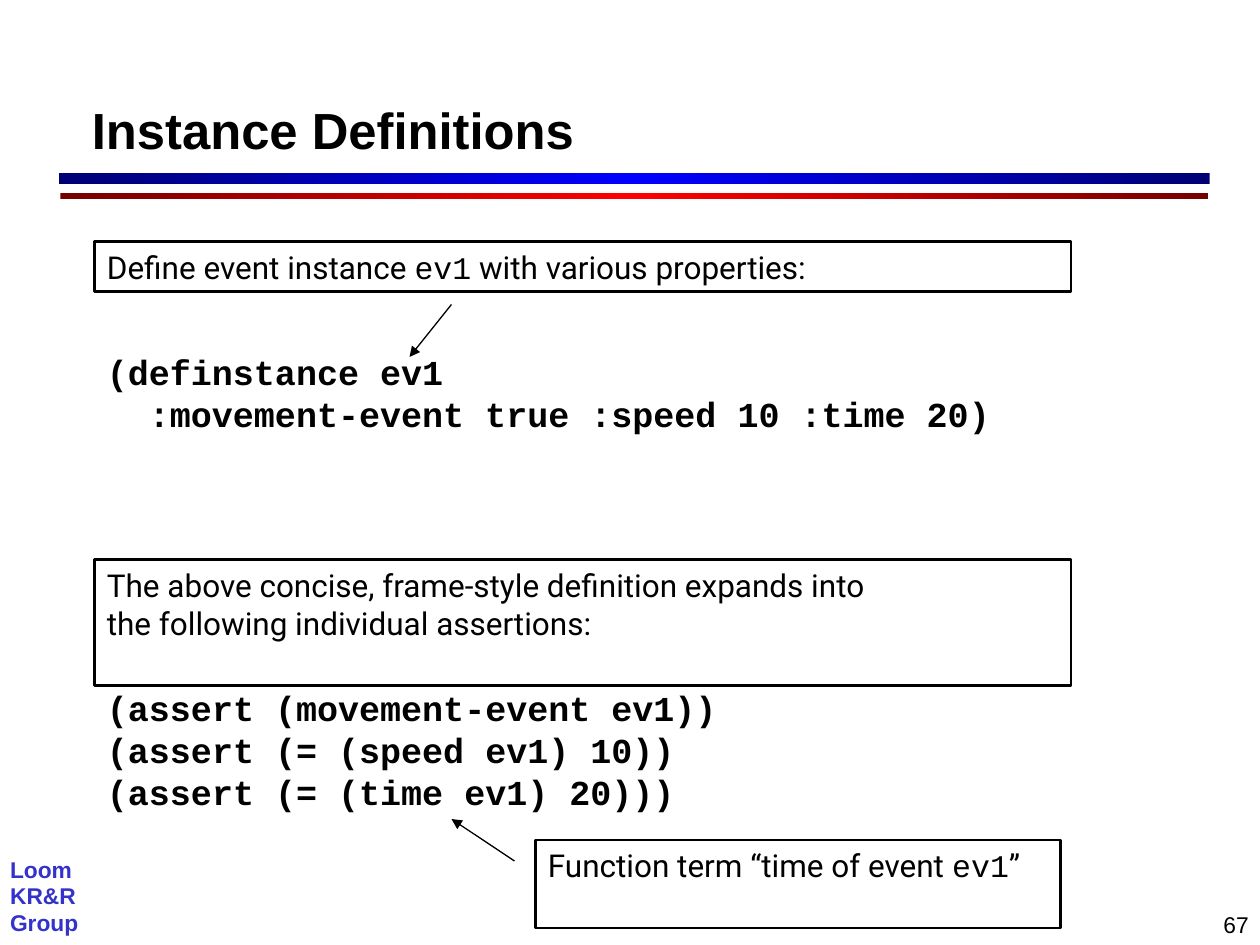
from copy import deepcopy
from dataclasses import dataclass

from pptx import Presentation
from pptx.dml.color import RGBColor
from pptx.enum.shapes import MSO_CONNECTOR, MSO_SHAPE
from pptx.enum.text import MSO_ANCHOR, PP_ALIGN
from pptx.oxml.ns import qn
from pptx.oxml.xmlchemy import OxmlElement
from pptx.util import Inches, Pt

RECT, ROUND = MSO_SHAPE.RECTANGLE, MSO_SHAPE.ROUNDED_RECTANGLE
LINE = MSO_CONNECTOR.STRAIGHT
TOP, BASE = MSO_ANCHOR.TOP, MSO_ANCHOR.BOTTOM
LEFT, RIGHT = PP_ALIGN.LEFT, PP_ALIGN.RIGHT
WIDE, HIGH = 10, 7.5
COLS = 120


@dataclass(frozen=True)
class Theme:
    ink: str = "000000"
    mark: str = "3333CC"
    reds: tuple[str, ...] = ("750000", "FF0000", "750000")
    blues: tuple[str, ...] = ("000075", "0000FF", "000075")
    sans: str = "Arial"
    prose: str = "Roboto"
    mono: str = "Courier New"
    head: float = 29
    code: float = 20
    body: float = 18
    foot: float = 13
    frame: float = 1.5
    thin: float = 0.75


THEME = Theme()


@dataclass(frozen=True)
class Area:
    col: float
    row: float
    cols: float
    rows: float

    def place(self) -> list[int]:
        return [cell(n) for n in (self.col, self.row, self.cols, self.rows)]


@dataclass(frozen=True)
class Style:
    font: str
    size: float
    color: str = THEME.ink
    bold: bool = False


@dataclass(frozen=True)
class Block:
    area: Area
    style: Style
    lines: tuple[tuple[str, ...], ...]
    framed: bool = False
    pad: tuple[float, float] = (0.1, 0.05)
    align: PP_ALIGN = LEFT
    anchor: MSO_ANCHOR = TOP
    lead: float = 1.0


@dataclass(frozen=True)
class Bar:
    area: Area
    tones: tuple[str, ...]
    bend: float


@dataclass(frozen=True)
class Arrow:
    start: tuple[float, float]
    end: tuple[float, float]


HEAD = Style(THEME.sans, THEME.head, bold=True)
CODE = Style(THEME.mono, THEME.code, bold=True)
BODY = Style(THEME.prose, THEME.body)
TERM = Style(THEME.mono, THEME.body)
FOOT = Style(THEME.sans, THEME.foot)
MARK = Style(THEME.sans, THEME.foot, THEME.mark, True)

BARS = (
    Bar(Area(5.76, 18.36, 109.32, 0.6), THEME.reds, 0.03),
    Bar(Area(5.64, 16.44, 109.56, 1.08), THEME.blues, 0.02),
)
BLOCKS = (
    Block(Area(-0.12, 81.12, 9.48, 8.64), MARK,
          (("Loom",), ("KR&R",), ("Group",)), pad=(0.09, 0.04), lead=0.97),
    Block(Area(97.32, 86.16, 22.68, 3.72), FOOT, (("67",),),
          pad=(0.09, 0.05), align=RIGHT),
    Block(Area(8.76, 1.68, 102.48, 13.68), HEAD, (("Instance Definitions",),),
          pad=(0, 0), anchor=BASE, lead=0.97),
    Block(Area(9, 64.8, 69, 13.2), CODE,
          (("(assert (movement-event ev1))",),
           ("(assert (= (speed ev1) 10))",),
           ("(assert (= (time ev1) 20)))",))),
    Block(Area(9, 32.75, 89, 9.25), CODE,
          (("(definstance ev1",),
           ("  :movement-event true :speed 10 :time 20)",))),
    Block(Area(9, 23, 93, 4.8), BODY,
          (("Define event instance ", "ev1", " with various properties:"),), True),
    Block(Area(9, 53.3, 93, 12), BODY,
          (("The above concise, frame-style definition expands into",),
           ("the following individual assertions:",)), True),
    Block(Area(51, 80, 50, 8.4), BODY,
          (("Function term “time of event ", "ev1", "”"),), True),
)
ARROWS = (Arrow((43, 29), (39, 34)), Arrow((49, 82), (43, 78)))


def cell(count: float) -> int:
    return Inches(count * WIDE / COLS)


def tint(code: str) -> RGBColor:
    return RGBColor.from_string(code)


def draw_bar(slide, bar: Bar) -> None:
    shape = slide.shapes.add_shape(ROUND, *bar.area.place())
    shape.shadow.inherit = False
    shape.adjustments[0] = bar.bend
    shape.line.fill.background()
    fill = shape.fill
    fill.gradient()
    fill.gradient_angle = 0
    stops = shape.element.spPr.find(".//" + qn("a:gsLst"))
    stops.append(deepcopy(stops[-1]))
    for spot, (stop, tone) in enumerate(zip(fill.gradient_stops, bar.tones)):
        stop.position = spot / 2
        stop.color.rgb = tint(tone)


def add_run(para, text: str, style: Style) -> None:
    run = para.add_run()
    run.text = text
    font = run.font
    font.name, font.size, font.bold = style.font, Pt(style.size), style.bold
    font.color.rgb = tint(style.color)


def draw_block(slide, block: Block) -> None:
    place = block.area.place()
    if block.framed:
        shape = slide.shapes.add_shape(RECT, *place)
        shape.shadow.inherit = False
        shape.fill.background()
        shape.line.color.rgb = tint(THEME.ink)
        shape.line.width = Pt(THEME.frame)
    else:
        shape = slide.shapes.add_textbox(*place)
    frame = shape.text_frame
    frame.word_wrap = True
    frame.vertical_anchor = block.anchor
    side, edge = (Inches(n) for n in block.pad)
    frame.margin_left = frame.margin_right = side
    frame.margin_top = frame.margin_bottom = edge
    para = frame.paragraphs[0]
    para.alignment = block.align
    para.line_spacing = block.lead
    for row, line in enumerate(block.lines):
        if row:
            para.add_line_break()
        for text in line:
            add_run(para, text, TERM if text == "ev1" else block.style)


def draw_arrow(slide, arrow: Arrow) -> None:
    ends = [cell(n) for n in arrow.start + arrow.end]
    link = slide.shapes.add_connector(LINE, *ends)
    link.line.color.rgb = tint(THEME.ink)
    link.line.width = Pt(THEME.thin)
    tip = OxmlElement("a:tailEnd")
    tip.set("type", "triangle")
    link.line._get_or_add_ln().append(tip)
    link._element.spPr.append(OxmlElement("a:effectLst"))


def main() -> None:
    deck = Presentation()
    deck.slide_width, deck.slide_height = Inches(WIDE), Inches(HIGH)
    slide = deck.slides.add_slide(deck.slide_layouts[6])
    for bar in BARS:
        draw_bar(slide, bar)
    for block in BLOCKS:
        draw_block(slide, block)
    for arrow in ARROWS:
        draw_arrow(slide, arrow)
    deck.save("out.pptx")


if __name__ == "__main__":
    main()
